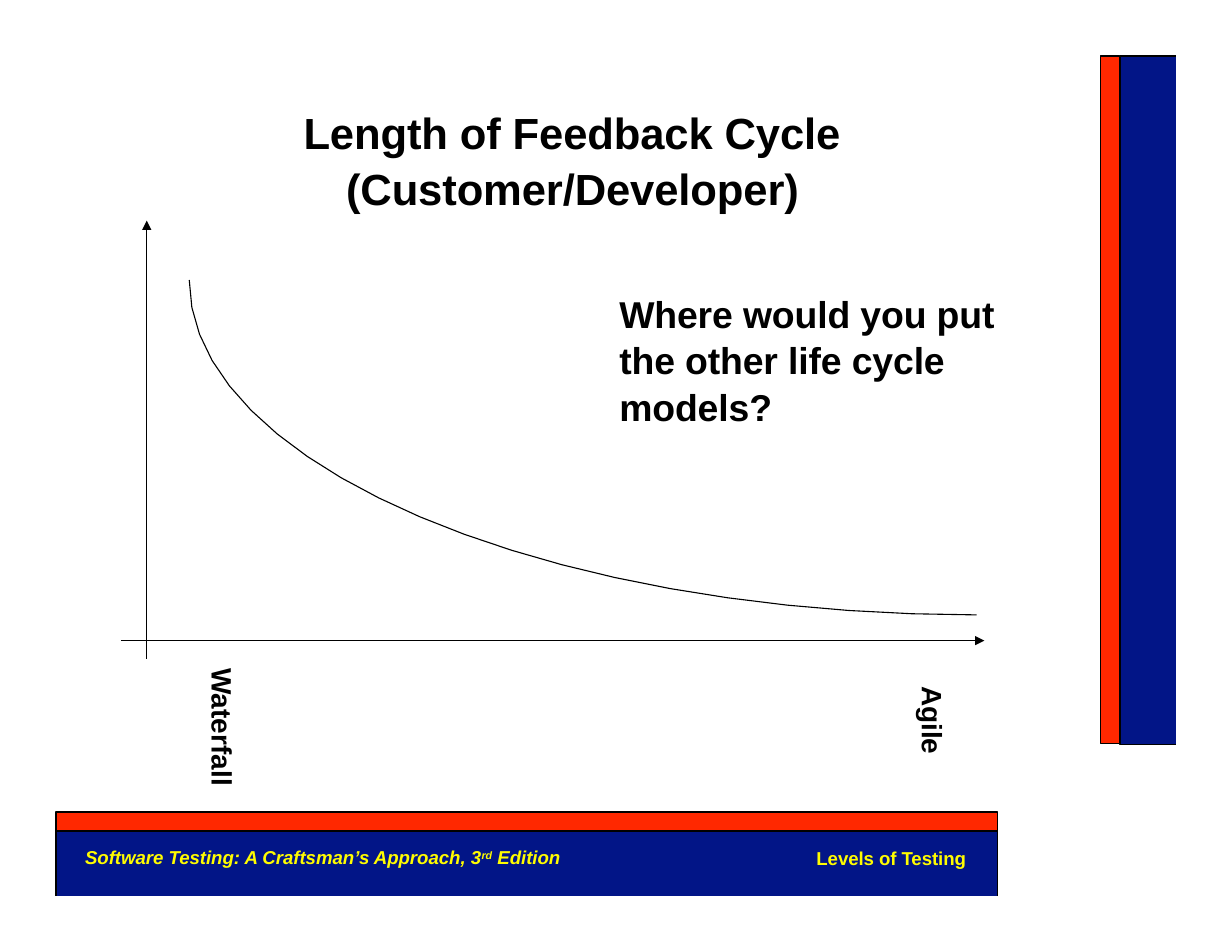
"""Build a slide on the length of the feedback cycle from waterfall to agile."""
import lxml.etree
import pptx
import pptx.dml.color
import pptx.enum.shapes
import pptx.oxml.ns
import pptx.util

Inches = pptx.util.Inches
qn = pptx.oxml.ns.qn


def colour(value):
    return pptx.dml.color.RGBColor.from_string(value)


def add_span(para, text, size=12, ink="000000", italic=False, spacing=0, baseline=0):
    span = para.add_run()
    span.text = text
    span.font.name = "Arial"
    span.font.size = pptx.util.Pt(size)
    span.font.bold = True
    span.font.italic = italic
    span.font.color.rgb = colour(ink)
    properties = span.font._element
    if spacing:
        properties.set("spc", str(spacing))
    if baseline:
        properties.set("baseline", str(baseline))


class Painter:
    BLUE, RED, YELLOW, BLACK = "021587", "FF2800", "FFFC00", "000000"
    LINE = pptx.util.Pt(0.72)

    def __init__(self, page):
        self.page = page

    def stroke(self, shape):
        shape.line.color.rgb = colour(self.BLACK)
        shape.line.width = self.LINE

    def bar(self, left, top, width, height, fill, outlined=True):
        shape = self.page.shapes.add_shape(
            pptx.enum.shapes.MSO_SHAPE.RECTANGLE,
            Inches(left), Inches(top), Inches(width), Inches(height))
        shape.shadow.inherit = False
        shape.fill.solid()
        shape.fill.fore_color.rgb = colour(fill)
        if outlined:
            self.stroke(shape)
        else:
            shape.line.fill.background()

    def polyline(self, points):
        places = [(Inches(x), Inches(y)) for x, y in points]
        builder = self.page.shapes.build_freeform(*places[0])
        builder.add_line_segments(places[1:], close=False)
        shape = builder.convert_to_shape()
        shape.shadow.inherit = False
        shape.fill.background()
        self.stroke(shape)

    def arrow(self, x1, y1, x2, y2):
        axis = self.page.shapes.add_connector(
            pptx.enum.shapes.MSO_CONNECTOR.STRAIGHT,
            Inches(x1), Inches(y1), Inches(x2), Inches(y2))
        self.stroke(axis)
        lxml.etree.SubElement(axis.line._get_or_add_ln(), qn("a:tailEnd"), type="triangle")
        lxml.etree.SubElement(axis._element.spPr, qn("a:effectLst"))

    def text(self, left, top, width, height, spans, margin=0.01, indent=0,
             line_spacing=None, vertical=False, **style):
        box = self.page.shapes.add_textbox(
            Inches(left), Inches(top), Inches(width), Inches(height))
        frame = box.text_frame
        frame.word_wrap = True
        frame.margin_left = frame.margin_right = frame.margin_top = frame.margin_bottom = 0
        if vertical:
            frame._txBody.bodyPr.set("vert", "vert")
        para = frame.paragraphs[0]
        if line_spacing:
            para.line_spacing = line_spacing
        properties = para._p.get_or_add_pPr()
        properties.set("marL", str(Inches(margin)))
        properties.set("indent", str(Inches(indent)))
        for words, baseline in spans:
            add_span(para, words, baseline=baseline, **style)


def ease(t):
    """Give one coordinate of a Bezier quarter circle of radius 1."""
    return 3 * (1 - t) ** 2 * t * 0.5523 + 3 * (1 - t) * t ** 2 + t ** 3


def main():
    deck = pptx.Presentation()
    deck.slide_width, deck.slide_height = Inches(11), Inches(8.5)
    painter = Painter(deck.slides.add_slide(deck.slide_layouts[6]))

    painter.bar(10, 0.5, 0.5, 6.15, painter.BLUE, outlined=False)
    painter.polyline([(10.5, 0.5), (10, 0.5), (10, 6.65), (10.5, 6.65)])
    painter.bar(9.83, 0.5, 0.17, 6.14, painter.RED)
    painter.bar(0.5, 7.42, 8.41, 0.58, painter.BLUE, outlined=False)
    painter.polyline([(8.91, 8), (8.91, 7.42), (0.5, 7.42), (0.5, 8)])
    painter.bar(0.5, 7.25, 8.41, 0.17, painter.RED)

    painter.text(2.7, 0.92, 4.86, 0.88,
                 [("Length of Feedback Cycle (Customer/Developer)", 0)],
                 margin=0.39, indent=-0.38, line_spacing=1.06, size=28, spacing=-7)

    painter.arrow(1.31, 5.88, 1.31, 1.97)
    painter.arrow(1.08, 5.72, 8.79, 5.72)
    steps = 20
    painter.polyline([(8.72 - 7.03 * ease(i / steps), 2.5 + 2.99 * ease(1 - i / steps))
                      for i in range(steps + 1)])

    painter.text(1.86, 5.96, 0.28, 1.08, [("Waterfall", 0)], vertical=True, size=18)
    painter.text(8.2, 6.12, 0.28, 0.64, [("Agile", 0)], vertical=True, size=18, spacing=-10)
    painter.text(5.52, 2.58, 3.4, 1.16,
                 [("Where would you put the other life cycle models?", 0)],
                 line_spacing=1.04, size=24, spacing=-8)
    painter.text(0.75, 7.55, 4.34, 0.21,
                 [("Software Testing: A Craftsman’s Approach, 3", 0), ("rd", 28000),
                  (" Edition", 0)], ink=painter.YELLOW, italic=True, spacing=-4)
    painter.text(7.28, 7.56, 1.39, 0.19, [("Levels of Testing", 0)],
                 ink=painter.YELLOW, spacing=-7)

    deck.save("out.pptx")


if __name__ == "__main__":
    main()
